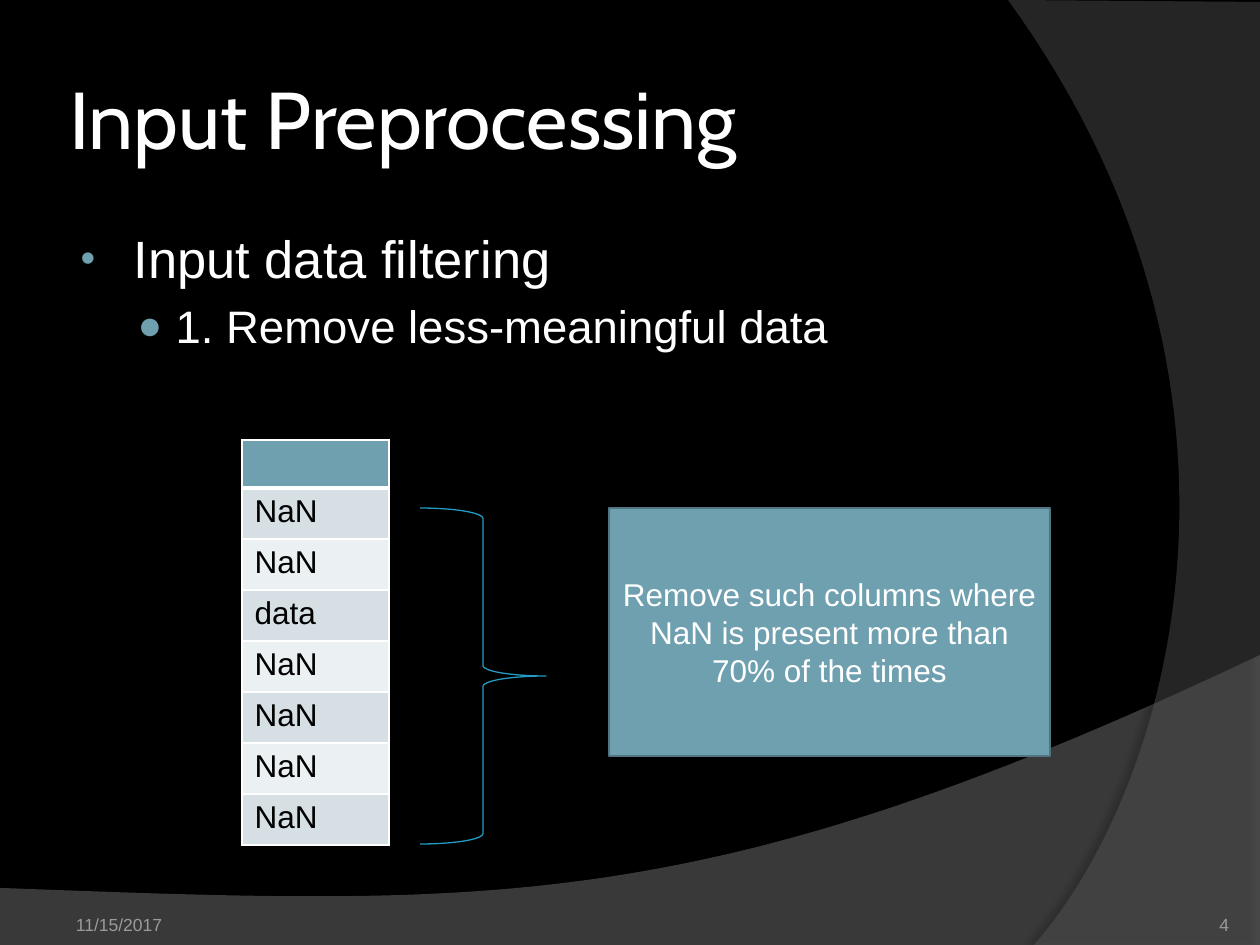
from lxml.etree import SubElement
from pptx import Presentation
from pptx.dml.color import RGBColor
from pptx.enum.shapes import MSO_SHAPE
from pptx.enum.text import MSO_ANCHOR, MSO_AUTO_SIZE, PP_ALIGN
from pptx.oxml.ns import qn
from pptx.util import Emu, Pt

BLACK = RGBColor(0x00, 0x00, 0x00)
WHITE = RGBColor(0xFF, 0xFF, 0xFF)
TEAL = RGBColor(0x6E, 0xA0, 0xB0)
DARK_TEAL = RGBColor(0x51, 0x76, 0x82)
BLUE = RGBColor(0x23, 0x9B, 0xC2)
BAND_DARK = RGBColor(0xD5, 0xDF, 0xE4)
BAND_LIGHT = RGBColor(0xEB, 0xF0, 0xF2)
GREY = RGBColor(0x7F, 0x7F, 0x7F)
DARK_GREY = RGBColor(0x5E, 0x5E, 0x5E)
FOOTER_GREY = RGBColor(0x9D, 0x9B, 0x9A)
SCALE = 914400 / 126


def px(length):
    return Emu(round(length * SCALE))


def write(para, text, size=18, font="Arial", color=WHITE, align=PP_ALIGN.LEFT):
    para.alignment = align
    span = para.add_run()
    span.text = text
    span.font.size = Pt(size)
    span.font.name = font
    span.font.color.rgb = color


def bezier(start, first, second, end, steps=60):
    points = []
    for step in range(1, steps + 1):
        t = step / steps
        weights = ((1 - t) ** 3, 3 * t * (1 - t) ** 2, 3 * t * t * (1 - t), t ** 3)
        corners = (start, first, second, end)
        points.append(tuple(sum(w * c[axis] for w, c in zip(weights, corners)) for axis in (0, 1)))
    return points


def add_element(parent, tag, **attributes):
    return SubElement(parent, qn(tag), {key: str(value) for key, value in attributes.items()})


class SlideBuilder:
    def __init__(self, deck):
        self.page = deck.slides.add_slide(deck.slide_layouts[1])
        self.shapes = self.page.shapes
        self.page.background.fill.solid()
        self.page.background.fill.fore_color.rgb = BLACK

    def place(self, shape, left, top, width, height):
        shape.left, shape.top, shape.width, shape.height = map(px, (left, top, width, height))

    def wave(self, layer, points, color, alpha, shadow_alpha, distance, angle):
        start, *rest = [(px(x), px(y)) for x, y in points]
        builder = self.shapes.build_freeform(*start)
        builder.add_line_segments(rest, close=True)
        shape = builder.convert_to_shape()
        shape.fill.solid()
        shape.fill.fore_color.rgb = color
        shape.line.fill.background()
        shape.shadow.inherit = False
        properties = shape.element.spPr
        tint = properties.find(qn("a:solidFill")).find(qn("a:srgbClr"))
        add_element(tint, "a:alpha", val=alpha * 1000)
        shadow = add_element(properties.find(qn("a:effectLst")), "a:outerShdw", blurRad=Pt(4),
                             dist=Pt(distance), dir=angle * 60000, rotWithShape=0)
        shade = add_element(shadow, "a:srgbClr", val=BLACK)
        add_element(shade, "a:alpha", val=shadow_alpha * 1000)
        self.shapes.element.insert(2 + layer, shape.element)

    def title(self, text, *bounds):
        shape = self.shapes.title
        self.place(shape, *bounds)
        frame = shape.text_frame
        frame.auto_size = MSO_AUTO_SIZE.NONE
        frame.vertical_anchor = MSO_ANCHOR.MIDDLE
        frame.margin_left = frame.margin_right = px(6)
        write(frame.paragraphs[0], text, size=46, font="Cabin")

    def bullets(self, items, *bounds):
        shape = self.page.placeholders[1]
        self.place(shape, *bounds)
        frame = shape.text_frame
        frame.auto_size = MSO_AUTO_SIZE.NONE
        for index, (text, size, margin, indent, mark, mark_size) in enumerate(items):
            para = frame.add_paragraph() if index else frame.paragraphs[0]
            para.level = index
            write(para, text, size=size)
            properties = para._p.get_or_add_pPr()
            properties.set("marL", str(px(margin)))
            properties.set("indent", str(px(indent)))
            color = add_element(properties, "a:buClr")
            add_element(color, "a:srgbClr", val=TEAL)
            add_element(properties, "a:buSzPct", val=mark_size * 1000)
            add_element(properties, "a:buFont", typeface="Arial")
            add_element(properties, "a:buChar", char=mark)

    def footer(self, text, bounds, inset, align):
        box = self.shapes.add_textbox(*map(px, bounds))
        frame = box.text_frame
        frame.word_wrap = True
        frame.vertical_anchor = MSO_ANCHOR.BOTTOM
        frame.margin_left = frame.margin_right = px(inset)
        frame.margin_bottom = 0
        write(frame.paragraphs[0], text, size=10, color=FOOTER_GREY, align=align)

    def border(self, cell, **widths):
        properties = cell._tc.get_or_add_tcPr()
        for position, side in enumerate("LRTB"):
            line = add_element(properties, f"a:ln{side}", w=Pt(widths.get(side, 1)))
            add_element(add_element(line, "a:solidFill"), "a:srgbClr", val=WHITE)
            properties.insert(position, line)

    def column(self, values, left, top, width, header_height, row_height):
        height = header_height + row_height * len(values)
        frame = self.shapes.add_table(len(values) + 1, 1, *map(px, (left, top, width, height)))
        table = frame.table
        for index, text in enumerate(["", *values]):
            table.rows[index].height = px(row_height if index else header_height)
            cell = table.cell(index, 0)
            cell.fill.solid()
            if index:
                cell.fill.fore_color.rgb = BAND_DARK if index % 2 else BAND_LIGHT
                write(cell.text_frame.paragraphs[0], text, color=BLACK)
            else:
                cell.fill.fore_color.rgb = TEAL
                cell.margin_top = cell.margin_bottom = 0
            self.border(cell, T=3 if index == 1 else 1, B=1 if index else 3)

    def shape(self, kind, bounds, line, width, fill=None, text=None):
        shape = self.shapes.add_shape(kind, *map(px, bounds))
        shape.shadow.inherit = False
        shape.line.color.rgb = line
        shape.line.width = Pt(width)
        if fill is None:
            shape.fill.background()
        else:
            shape.fill.solid()
            shape.fill.fore_color.rgb = fill
        if text:
            shape.text_frame.word_wrap = True
            shape.text_frame.vertical_anchor = MSO_ANCHOR.MIDDLE
            write(shape.text_frame.paragraphs[0], text, align=PP_ALIGN.CENTER)


def main():
    deck = Presentation()
    deck.slide_width, deck.slide_height = px(1260), px(945)
    slide = SlideBuilder(deck)
    lower_edge = bezier((1260, 655), (704, 919), (493, 906), (0, 888))
    right_edge = bezier((1034, 945), (1178, 780), (1283, 378), (1008, 0))
    slide.wave(0, [(0, 945), (1260, 945), (1260, 655), *lower_edge], GREY, 45, 35, 3.5, 270)
    slide.wave(1, [(1260, 2), (1260, 945), (1034, 945), *right_edge], DARK_GREY, 40, 45, 4, 180)
    slide.title("Input Preprocessing", 63, 38, 1029, 158)
    slide.bullets([
        ("Input data filtering", 30, 58, -53, "•", 80),
        ("1. Remove less-meaningful data", 26, 100, -38, "●", 90),
    ], 63, 220, 1029, 624)
    slide.footer("11/15/2017", (63, 885, 294, 50), 13, PP_ALIGN.LEFT)
    slide.footer("4", (1124, 885, 105, 50), 0, PP_ALIGN.RIGHT)
    slide.column(["NaN", "NaN", "data", "NaN", "NaN", "NaN", "NaN"], 242, 440, 147, 48, 51)
    slide.shape(MSO_SHAPE.RIGHT_BRACE, (420, 508, 126, 336), BLUE, 0.75)
    slide.shape(MSO_SHAPE.RECTANGLE, (609, 508, 441, 248), DARK_TEAL, 1.5, TEAL,
                "Remove such columns where NaN is present more than 70% of the times")
    deck.save("out.pptx")


if __name__ == "__main__":
    main()
